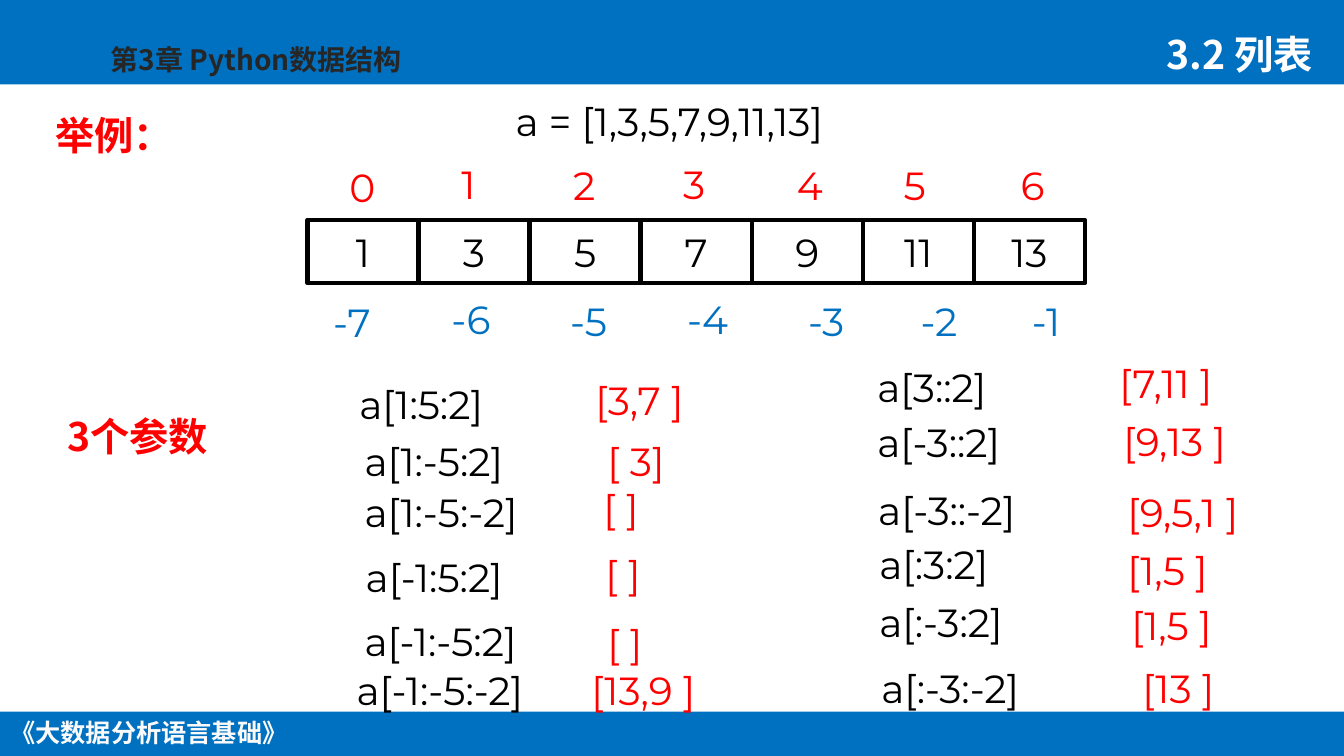
from lxml.etree import SubElement
from pptx import Presentation
from pptx.dml.color import RGBColor
from pptx.enum.shapes import MSO_SHAPE
from pptx.enum.text import MSO_ANCHOR, MSO_AUTO_SIZE, PP_ALIGN
from pptx.oxml.ns import qn
from pptx.util import Cm, Pt

LATIN, CHINESE = "Montserrat", "Noto Sans CJK SC"
BLACK, WHITE, RED, BLUE = "000000", "FFFFFF", "FF0000", "0070C0"
LINE_HEIGHT = 1.45


def color(value):
    return RGBColor.from_string(value)


def write(shape, text, ink, font=LATIN, size=28, bold=False,
          align=PP_ALIGN.LEFT, anchor=MSO_ANCHOR.TOP, spacing=1.0):
    frame = shape.text_frame
    frame_format = {"word_wrap": True, "auto_size": MSO_AUTO_SIZE.NONE,
                    "vertical_anchor": anchor}
    for name, value in frame_format.items():
        setattr(frame, name, value)
    paragraph = frame.paragraphs[0]
    paragraph.alignment = align
    paragraph.line_spacing = spacing
    run = paragraph.add_run()
    run.text = text
    for name, value in {"name": font, "size": Pt(size), "bold": bold}.items():
        setattr(run.font, name, value)
    run.font.color.rgb = color(ink)
    east_asian = SubElement(run.font.element if hasattr(run.font, "element")
                            else run._r.get_or_add_rPr(), qn("a:ea"))
    east_asian.set("typeface", CHINESE)


presentation = Presentation()
presentation.slide_width = Cm(33.88)
presentation.slide_height = Cm(19.05)
slide = presentation.slides.add_slide(presentation.slide_layouts[5])
shapes = slide.shapes
title = shapes.title

# Header and footer bars, behind the title
for top, height in [(0, 2.13), (17.93, 1.12)]:
    bar = shapes.add_shape(MSO_SHAPE.RECTANGLE, 0, Cm(top),
                           presentation.slide_width, Cm(height))
    bar.shadow.inherit = False
    bar.fill.solid()
    bar.fill.fore_color.rgb = color(BLUE)
    bar.line.fill.background()
    title.element.addprevious(bar.element)

# Section title
place = {"left": 28.37, "top": 0.2, "width": 4.98, "height": 1.88}
for name, value in place.items():
    setattr(title, name, Cm(value))
write(title, "3.2 列表", WHITE, CHINESE, bold=True, align=PP_ALIGN.RIGHT,
      anchor=MSO_ANCHOR.BOTTOM, spacing=0.9)

# Chapter, book name and headings
bold_chinese = {"font": CHINESE, "bold": True}
labels = [
    ("《大数据分析语言基础》", -0.03, 17.96, 7.57, 1.02,
     {"ink": "FAFAFA", "size": 18, "align": PP_ALIGN.CENTER, **bold_chinese}),
    ("第3章 Python数据结构", 2.54, 0.94, 9.6, 1.12,
     {"ink": "262626", "size": 20, **bold_chinese}),
    ("举例：", 1.14, 2.92, 4.19, 1.22,
     {"ink": RED, "anchor": MSO_ANCHOR.BOTTOM, "spacing": 0.9, **bold_chinese}),
    ("3个参数", 1.45, 10.26, 4.8, LINE_HEIGHT, {"ink": RED, **bold_chinese}),
    ("a = [1,3,5,7,9,11,13]", 12.75, 2.34, 11.25, LINE_HEIGHT, {"ink": BLACK}),
]

# Indexes above and below the list: left, top, width
positive = [(8.56, 3.99, 1.17), (11.38, 3.91, 1.17), (14.2, 3.94, 1.17),
            (16.97, 3.91, 1.17), (19.84, 3.94, 1.17), (22.53, 3.94, 1.17),
            (25.48, 3.94, 1.17)]
negative = [(8.15, 7.39, 1.57), (11.13, 7.32, 1.83), (14.12, 7.37, 1.9),
            (17.07, 7.32, 2.08), (20.12, 7.37, 1.8), (22.96, 7.37, 1.75),
            (25.76, 7.37, 1.57)]
for first, ink, places in [(0, RED, positive), (-7, "0071C1", negative)]:
    for index, place in enumerate(places, first):
        labels.append((str(index), *place, LINE_HEIGHT, {"ink": ink}))

# Slice expressions and their results: text, left, top, width
expressions = [
    ("a[1:5:2]", 8.81, 9.47, 4.6), ("a[1:-5:2]", 8.94, 10.9, 4.95),
    ("a[1:-5:-2]", 8.94, 12.19, 5.28), ("a[-1:5:2]", 8.97, 13.82, 4.95),
    ("a[-1:-5:2]", 8.94, 15.44, 5.28), ("a[-1:-5:-2]", 8.74, 16.66, 5.61),
    ("a[3::2]", 21.87, 9.02, 3.94), ("a[-3::2]", 21.87, 10.41, 4.29),
    ("a[-3::-2]", 21.89, 12.14, 4.62), ("a[:3:2]", 21.92, 13.49, 3.94),
    ("a[:-3:2]", 21.92, 14.94, 4.29), ("a[:-3:-2]", 21.97, 16.61, 4.62),
]
results = [
    ("[3,7 ]", 14.76, 9.35, 3.28), ("[ 3]", 15.06, 10.9, 2.29),
    ("[ ]", 14.96, 12.07, 1.63), ("[ ]", 15.01, 13.74, 1.63),
    ("[ ]", 15.06, 15.47, 1.63), ("[13,9 ]", 14.66, 16.66, 3.94),
    ("[7,11 ]", 27.97, 8.92, 3.94), ("[9,13 ]", 28.07, 10.39, 3.94),
    ("[9,5,1 ]", 28.17, 12.19, 4.29), ("[1,5 ]", 28.17, 13.64, 3.28),
    ("[1,5 ]", 28.27, 15.04, 3.28), ("[13 ]", 28.55, 16.61, 2.95),
]
for ink, entries in [(BLACK, expressions), (RED, results)]:
    for entry in entries:
        labels.append((*entry, LINE_HEIGHT, {"ink": ink}))

for text, left, top, width, height, style in labels:
    box = shapes.add_textbox(Cm(left), Cm(top), Cm(width), Cm(height))
    write(box, text, **style)

# List cells
for position, number in enumerate([1, 3, 5, 7, 9, 11, 13]):
    cell = shapes.add_shape(MSO_SHAPE.RECTANGLE, Cm(7.75 + 2.8 * position),
                            Cm(5.54), Cm(2.8), Cm(1.6))
    cell.shadow.inherit = False
    cell.fill.solid()
    cell.fill.fore_color.rgb = color(WHITE)
    cell.line.color.rgb = color(BLACK)
    cell.line.width = Pt(3)
    write(cell, str(number), BLACK, align=PP_ALIGN.CENTER,
          anchor=MSO_ANCHOR.MIDDLE)

presentation.save("out.pptx")
